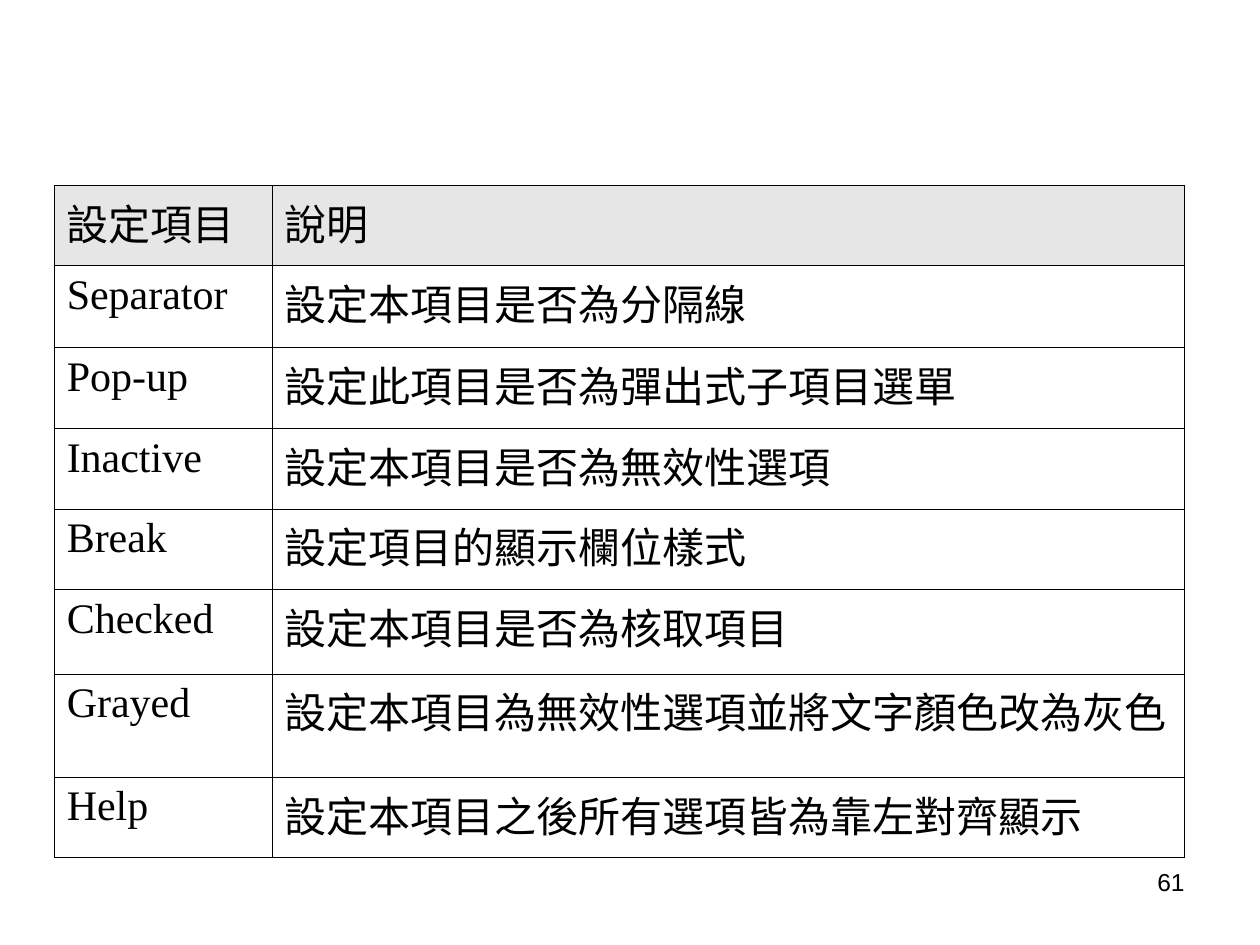
"""Builds a slide with a table of menu item settings and a page number."""
from lxml import etree
from pptx import Presentation
from pptx.dml.color import RGBColor
from pptx.enum.text import PP_ALIGN
from pptx.oxml.ns import qn
from pptx.util import Inches, Pt

LEFT, RIGHT = PP_ALIGN.LEFT, PP_ALIGN.RIGHT

SETTINGS = [
    ("設定項目", "說明"),
    ("Separator", "設定本項目是否為分隔線"),
    ("Pop-up", "設定此項目是否為彈出式子項目選單"),
    ("Inactive", "設定本項目是否為無效性選項"),
    ("Break", "設定項目的顯示欄位樣式"),
    ("Checked", "設定本項目是否為核取項目"),
    ("Grayed", "設定本項目為無效性選項並將文字顏色改為灰色"),
    ("Help", "設定本項目之後所有選項皆為靠左對齊顯示"),
]
PAGE_NUMBER = "61"

THEME = {
    "ink": "000000",
    "header": "E6E6E6",
    "table_font": "Times New Roman",
    "table_size": 24,
    "number_font": "Arial",
    "number_size": 14,
    "border": 0.45,
}
SLIDE_SIZE = (10, 7.5)
TABLE_ORIGIN = (0.43, 1.47)
COLUMN_WIDTHS = (1.73, 7.24)
ROW_HEIGHT = 0.64
TALLER_ROWS = {"Separator": 0.65, "Checked": 0.67, "Grayed": 0.82}
NUMBER_AREA = (7.17, 6.83, 2.33, 0.52)


def write_text(frame, text, *, font, size, align=LEFT):
    frame.word_wrap = True
    para = frame.paragraphs[0]
    para.alignment = align
    span = para.add_run()
    span.text = text
    span.font.name = font
    span.font.size = Pt(size)
    span.font.color.rgb = RGBColor.from_string(THEME["ink"])


def draw_borders(cell):
    properties = cell._tc.get_or_add_tcPr()
    for position, side in enumerate(("lnL", "lnR", "lnT", "lnB")):
        line = etree.Element(qn(f"a:{side}"), w=str(Pt(THEME["border"])))
        fill = etree.SubElement(line, qn("a:solidFill"))
        etree.SubElement(fill, qn("a:srgbClr"), val=THEME["ink"])
        properties.insert(position, line)


def add_settings_table(page):
    heights = [TALLER_ROWS.get(name, ROW_HEIGHT) for name, _ in SETTINGS]
    area = (*TABLE_ORIGIN, sum(COLUMN_WIDTHS), sum(heights))
    table = page.shapes.add_table(
        len(SETTINGS), len(COLUMN_WIDTHS), *map(Inches, area)
    ).table
    for column, width in zip(table.columns, COLUMN_WIDTHS):
        column.width = Inches(width)
    for row_index, (entry, height) in enumerate(zip(SETTINGS, heights)):
        table.rows[row_index].height = Inches(height)
        for column_index, text in enumerate(entry):
            cell = table.cell(row_index, column_index)
            if row_index == 0:
                cell.fill.solid()
                cell.fill.fore_color.rgb = RGBColor.from_string(THEME["header"])
            else:
                cell.fill.background()
            draw_borders(cell)
            write_text(cell.text_frame, text,
                       font=THEME["table_font"], size=THEME["table_size"])


def main():
    deck = Presentation()
    deck.slide_width, deck.slide_height = map(Inches, SLIDE_SIZE)
    page = deck.slides.add_slide(deck.slide_layouts[6])
    add_settings_table(page)
    box = page.shapes.add_textbox(*map(Inches, NUMBER_AREA))
    write_text(box.text_frame, PAGE_NUMBER, font=THEME["number_font"],
               size=THEME["number_size"], align=RIGHT)
    deck.save("out.pptx")


if __name__ == "__main__":
    main()
